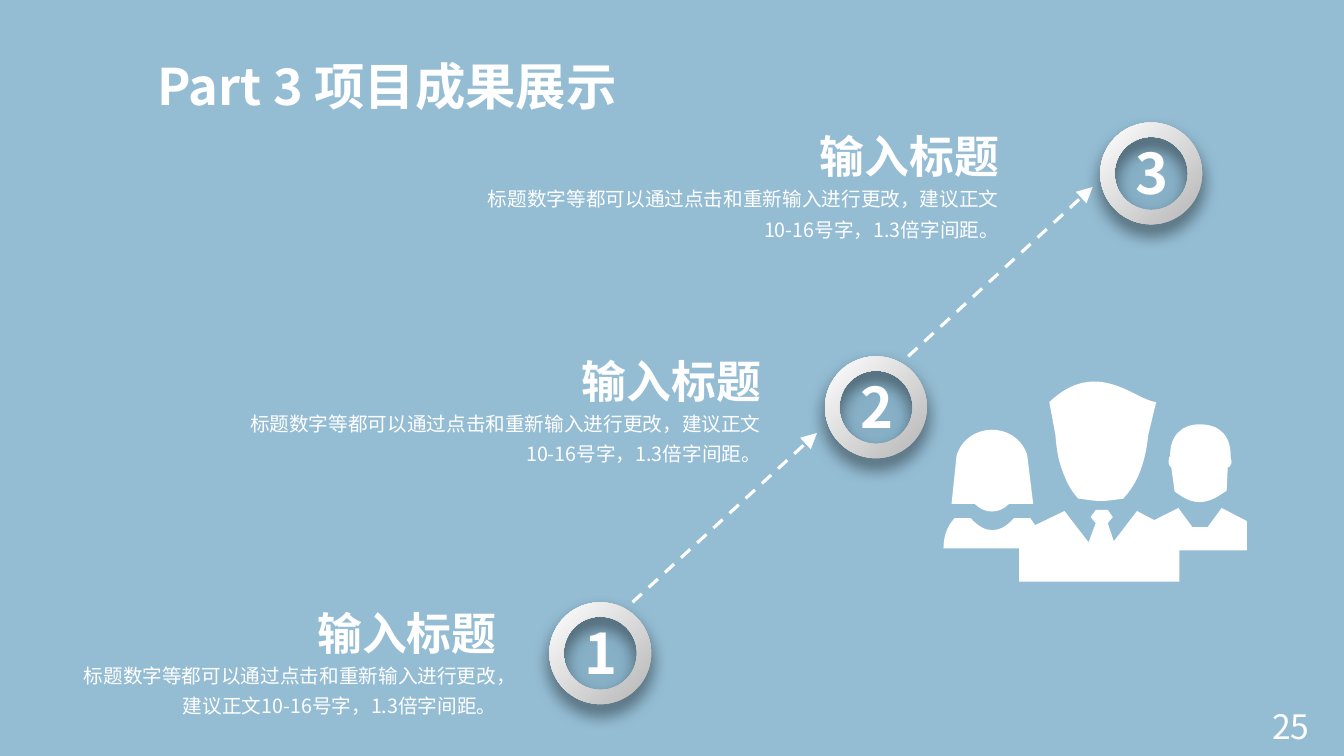
"""Build the project results slide: three numbered steps rising to the right."""
import pptx
import pptx.dml.color
import pptx.enum.dml
import pptx.enum.shapes
import pptx.enum.text
import pptx.oxml
import pptx.oxml.ns
import pptx.util

SHAPE = pptx.enum.shapes.MSO_SHAPE
ALIGN = pptx.enum.text.PP_ALIGN
ANCHOR = pptx.enum.text.MSO_ANCHOR
COLORS = {"sky": "94BDD4", "disc": "87B0C7", "silver": "BFBFBF", "white": "FFFFFF", "black": "000000"}
SC, JP = "Noto Sans CJK SC", "Noto Sans CJK JP"
STYLES = {
    "title": {"size": 36, "name": SC, "bold": True},
    "number": {"size": 40, "name": JP, "bold": True},
    "heading": {"size": 32, "name": JP, "bold": True},
    "body": {"size": 14, "name": SC, "bold": False},
    "page": {"size": 24, "name": JP, "bold": False},
}
COLS, ROWS = 133.33, 75
RING, DISC = 10.1, 7.9
HEADING = "输入标题"
BODY = "标题数字等都可以通过点击和重新输入进行更改，建议正文10-16号字，1.3倍字间距。"
STEPS = [
    {"center": (59.55, 64.8), "right": 50.25, "top": 56.9, "width": 43.8},
    {"center": (86.9, 40.4), "right": 76.5, "top": 31.9, "width": 55.1},
    {"center": (114.2, 17.2), "right": 100.1, "top": 9.6, "width": 55.1},
]
PEOPLE = [
    [(94.4, 50), (96.7, 50), (97.7, 51, 99.1, 51, 100.1, 50), (102.5, 50),
     (102.3, 48.4, 102.1, 46.7, 101.9, 45.1), (100.7, 41.7, 95.9, 41.9, 94.9, 45.2),
     (94.4, 50)],
    [(114.5, 51.6), (116.9, 50.4), (118.3, 52.3), (119.8, 52.3), (121.2, 50.4),
     (123.7, 51.7), (123.7, 54.6), (117, 54.6), (117, 57.7), (101.1, 57.7),
     (101.1, 54.4), (93.6, 54.4), (93.6, 53.3, 93.9, 52.3, 94.7, 51.4),
     (95.2, 51.4, 95.7, 51.4, 96.3, 51.4), (97.7, 53, 99.2, 53, 100.6, 51.4),
     (101.1, 51.4, 101.7, 51.4, 102.2, 51.4), (102.4, 51.6, 102.5, 51.9, 102.7, 52.1),
     (105.6, 50.7), (108, 53.8), (108.7, 51.9), (108.2, 51.3), (108.7, 50.6),
     (109.9, 50.6), (110.4, 51.3), (109.9, 51.9), (110.5, 53.7), (112.8, 50.7),
     (114.5, 51.6)],
    [(122.1, 45.3), (122.1, 43.2, 121, 42.1, 119, 42.1),
     (117.3, 42.1, 116, 43.2, 116.1, 45.3), (116, 45.3),
     (115.9, 45.6, 115.9, 46, 116, 46.1), (116, 46.2, 116.1, 46.3, 116.2, 46.4),
     (116.5, 48.5), (116.5, 48.7), (116.6, 48.8), (118.4, 50.2, 119.7, 50.1, 121.5, 48.8),
     (121.7, 48.7), (121.7, 48.5), (121.8, 46.4), (122, 46.3, 122.1, 46.2, 122.1, 46.1),
     (122.2, 46, 122.2, 45.6, 122.1, 45.4), (122.1, 45.3)],
    [(113.9, 43.2), (114.7, 39.9), (112.6, 39.7, 108.8, 35.4, 104.1, 39.9),
     (104.7, 43.1), (104.8, 44.2, 104.9, 45.2, 105.2, 46.1),
     (105.6, 47.4, 106.1, 48.5, 106.9, 49.4), (107.1, 49.5), (107.3, 49.5),
     (107.9, 49.6, 108.6, 49.7, 109.2, 49.7), (109.9, 49.7, 110.5, 49.6, 111.2, 49.5),
     (111.4, 49.5), (111.5, 49.4), (112.3, 48.5, 112.9, 47.5, 113.3, 46.2),
     (113.6, 45.3, 113.8, 44.3, 113.9, 43.2)],
]


def rgb(name):
    return pptx.dml.color.RGBColor.from_string(COLORS[name])


def add_xml(parent, xml):
    ns = pptx.oxml.ns.nsdecls("a")
    parent.append(pptx.oxml.parse_xml(f"<a:extLst {ns}>{xml}</a:extLst>")[0])


class Deck:
    """Hold the presentation, its grid and the current slide."""

    def __init__(self):
        self.prs = pptx.Presentation()
        self.prs.slide_width = pptx.util.Inches(13.33)
        self.prs.slide_height = pptx.util.Inches(7.5)
        self.s = self.prs.slides.add_slide(self.prs.slide_layouts[6])
        self.s.background.fill.solid()
        self.s.background.fill.fore_color.rgb = rgb("sky")

    def grid(self, *cells):
        sizes = (self.prs.slide_width / COLS, self.prs.slide_height / ROWS)
        return [round(c * sizes[i % 2]) for i, c in enumerate(cells)]

    def text(self, box, text, style, align=ALIGN.LEFT, spacing=1.0, wrap=True, anchor=ANCHOR.TOP):
        tf = self.s.shapes.add_textbox(*self.grid(*box)).text_frame
        frame = {"word_wrap": wrap, "vertical_anchor": anchor}
        if anchor == ANCHOR.TOP:
            frame["auto_size"] = pptx.enum.text.MSO_AUTO_SIZE.SHAPE_TO_FIT_TEXT
        for key, value in frame.items():
            setattr(tf, key, value)
        p = tf.paragraphs[0]
        p.alignment, p.line_spacing = align, spacing
        r = p.add_run()
        r.text = text
        for key, value in STYLES[style].items():
            setattr(r.font, key, pptx.util.Pt(value) if key == "size" else value)
        r.font.color.rgb = rgb("white")
        add_xml(r.font._element, f'<a:ea typeface="{STYLES[style]["name"]}"/>')

    def plain(self, sp, color):
        sp.fill.solid()
        sp.fill.fore_color.rgb = rgb(color)
        sp.line.fill.background()
        sp.shadow.inherit = False

    def round_shape(self, kind, center, size):
        x, y = center
        box = self.grid(x - size / 2, y - size / 2, size, size)
        sp = self.s.shapes.add_shape(kind, *box)
        self.plain(sp, "disc")
        return sp

    def ring(self, center):
        self.round_shape(SHAPE.OVAL, center, DISC)
        sp = self.round_shape(SHAPE.DONUT, center, RING)
        sp.adjustments[0] = 0.14
        sp.rotation = 180
        sp.fill.gradient()
        sp.fill.gradient_angle = 315
        for stop, (at, color) in zip(sp.fill.gradient_stops, ((0.12, "silver"), (1, "white"))):
            stop.position, stop.color.rgb = at, rgb(color)
        effects = sp._element.spPr.find(pptx.oxml.ns.qn("a:effectLst"))
        add_xml(effects, f'<a:outerShdw blurRad="{pptx.util.Pt(13)}" dist="{pptx.util.Pt(7)}" '
                         'dir="5400000" algn="t" rotWithShape="0">'
                         f'<a:srgbClr val="{COLORS["black"]}"><a:alpha val="54000"/></a:srgbClr>'
                         '</a:outerShdw>')

    def arrow(self, x, y, dx, dy):
        sp = self.s.shapes.add_connector(pptx.enum.shapes.MSO_CONNECTOR.STRAIGHT,
                                         *self.grid(x, y, x + dx, y + dy))
        sp.line.color.rgb = rgb("white")
        sp.line.width = pptx.util.Pt(2.25)
        sp.line.dash_style = pptx.enum.dml.MSO_LINE.DASH
        add_xml(sp.line._get_or_add_ln(), '<a:tailEnd type="triangle" w="lg" len="lg"/>')
        add_xml(sp._element.spPr, "<a:effectLst/>")

    def silhouette(self, contours):
        builder = None
        for start, *targets in contours:
            corner = self.grid(*start)
            if builder is None:
                builder = self.s.shapes.build_freeform(*corner)
            else:
                builder.move_to(*corner)
            for target in targets:
                cells = self.grid(*(target if len(target) == 6 else target * 3))
                builder.add_line_segments(list(zip(cells[::2], cells[1::2])), close=False)
            builder.add_line_segments([], close=True)
        sp = builder.convert_to_shape()
        self.plain(sp, "white")
        self.curve(sp)

    def curve(self, sp):
        qn = pptx.oxml.ns.qn
        lines = list(sp._element.iter(qn("a:lnTo")))
        for first, second, third in zip(lines[::3], lines[1::3], lines[2::3]):
            first.tag = qn("a:cubicBezTo")
            for line in (second, third):
                first.append(line[0])
                line.getparent().remove(line)


def main():
    deck = Deck()
    deck.text((14.6, 4.95, 48.9, 7.1), "Part 3 项目成果展示", "title", wrap=False)
    for number, step in enumerate(STEPS, 1):
        x, y = step["center"]
        right, top, width = step["right"], step["top"], step["width"]
        deck.ring(step["center"])
        deck.text((x - 2.55, y - 3.9, 4.8, 7.7), str(number), "number", wrap=False)
        if number < len(STEPS):
            deck.arrow(x + 3.2, y - RING / 2, 18.3, -16.8)
        deck.text((right - width, top + 7.75, width, 6.8), BODY, "body", ALIGN.RIGHT, 1.3)
        deck.text((right - 30.6, top, 30.6, 8.1), HEADING, "heading", ALIGN.RIGHT, 1.5)
    deck.silhouette(PEOPLE)
    deck.text((100.9, 70, 30, 4), "25", "page", ALIGN.RIGHT, anchor=ANCHOR.MIDDLE)
    deck.prs.save("out.pptx")


if __name__ == "__main__":
    main()
